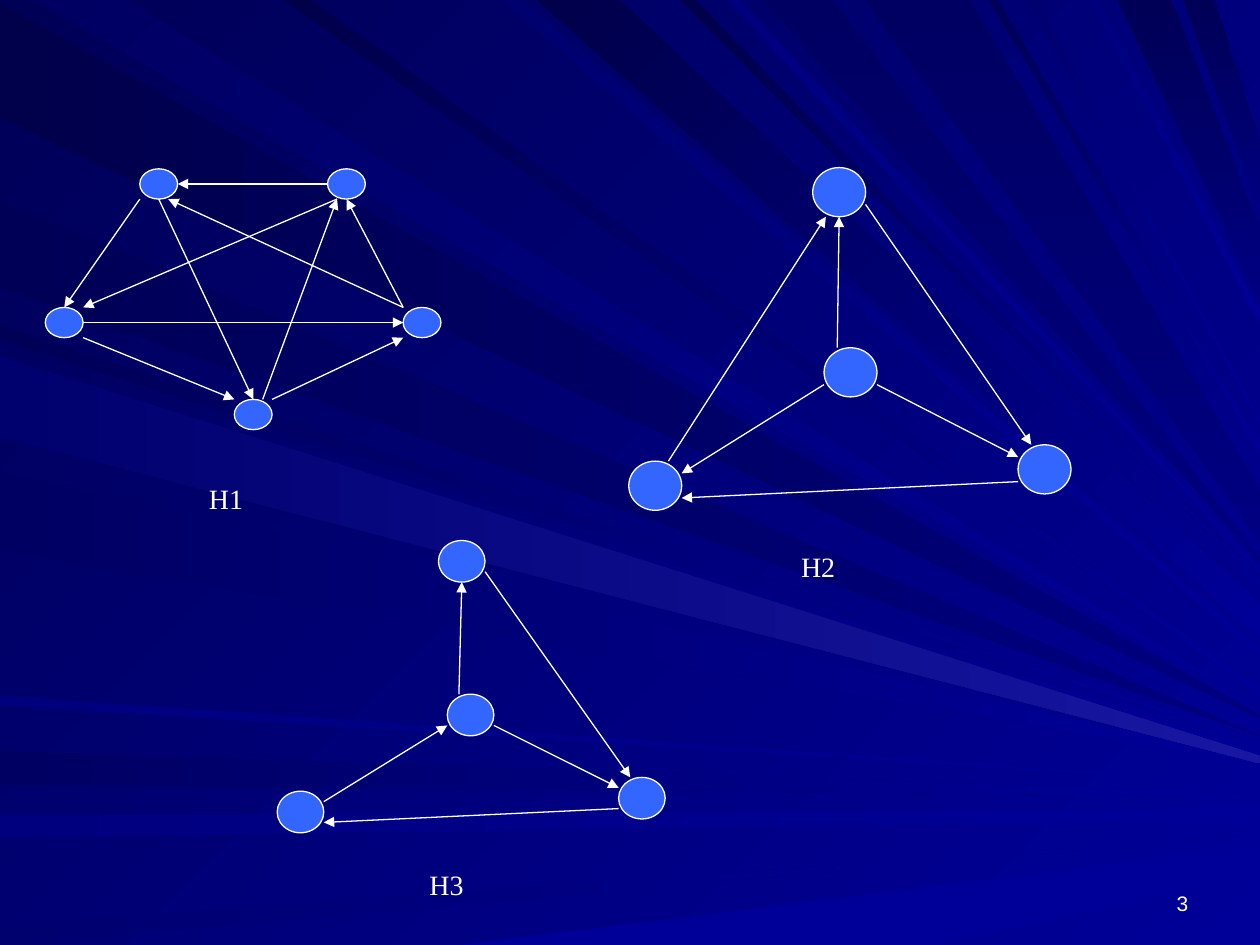
"""Build a slide of three directed graphs, H1 to H3, over a backdrop of blue rays."""
from lxml.etree import SubElement
from pptx import Presentation
from pptx.dml.color import RGBColor
from pptx.enum.shapes import MSO_CONNECTOR, MSO_SHAPE
from pptx.enum.text import MSO_ANCHOR, MSO_AUTO_SIZE, PP_ALIGN
from pptx.oxml.ns import qn
from pptx.util import Inches, Pt

COLUMNS, ROWS = 1000, 750
CELL = Inches(10) // COLUMNS

COLOURS = {
    "white": "FFFFFF",
    "node": "3366FF",
    "ink": "00004B",
    "night": "000056",
    "dusk": "000062",
    "navy": "00006E",
    "deep": "00007E",
    "royal": "000080",
    "blue": "000099",
    "glow": "1717A2",
}

RAYS = [
    ("left", 2, 93, 569, "ink", "royal"),
    ("top", 26, 101, 562, "dusk", "blue"),
    ("left", 596, 623, 631, "dusk", "blue"),
    ("left", 647, 665, 647, "deep", "blue", 8),
    ("left", 735, 750, 662, "navy", "blue"),
    ("bottom", 364, 742, 683, "blue", "blue", 22),
    ("left", 258, 270, 589, "night", "blue"),
    ("left", 159, 228, 584, "night", "royal"),
    ("top", 398, 416, 518, "navy", "blue", 6),
    ("top", 426, 492, 493, "ink", "blue", 28),
    ("top", 540, 552, 463, "ink", "blue"),
    ("top", 606, 661, 445, "dusk", "royal"),
    ("top", 887, 930, 210, "night", "royal", 54),
    ("top", 939, 964, 140, "night", "royal", 54),
    ("left", 278, 342, 599, "dusk", "blue", 6),
    ("left", 374, 437, 605, "dusk", "blue"),
    ("left", 552, 560, 622, "deep", "blue"),
    ("top", 225, 247, 549, "ink", "blue", 6),
    ("top", 577, 588, 453, "deep", "blue"),
    ("top", 686, 770, 409, "dusk", "royal", 38),
    ("top", 785, 792, 357, "night", "blue", 6),
    ("top", 815, 824, 335, "navy", "blue"),
    ("top", 865, 872, 253, "deep", "blue", 8),
    ("left", 283, 347, 603, "navy", "glow", 6),
]

GRAPHS = {
    "H1": {
        "label": (156, 377), "size": (30, 24),
        "nodes": {"a": (111, 134), "b": (36, 244), "c": (186, 317),
                  "d": (260, 134), "e": (320, 244)},
        "edges": "a.SW>b.N b.SE>c.NW c.NE>e.SW e.NW>d.S d.W>a.E "
                 "c.NNE>d.SSW d.SSW>b.NE b.E>e.W e.NW>a.SSE a.S>c.N",
    },
    "H2": {
        "label": (626, 431), "size": (42, 39),
        "nodes": {"a": (645, 133), "b": (499, 366), "c": (808, 353), "d": (654, 276)},
        "edges": "d.NNW>a.S d.WSW>b.ENE d.ESE>c.WNW b.NNE>a.SSW "
                 "a.ESE>c.NNW c.WSW>b.ESE",
    },
    "H3": {
        "label": (331, 684), "size": (37, 33),
        "nodes": {"a": (348, 429), "b": (220, 628), "c": (491, 617), "d": (355, 551)},
        "edges": "d.NNW>a.S d.ESE>c.WNW a.ESE>c.NNW c.WSW>b.ESE b.ENE>d.WSW",
    },
}


def colour(name):
    """Return the named colour."""
    return RGBColor.from_string(COLOURS[name])


def cells(*counts):
    """Turn counts of grid cells into lengths."""
    return [round(count * CELL) for count in counts]


def paint(fill, start, end, angle=0):
    """Fill with a clockwise-angled gradient, or plainly when both ends agree."""
    if start == end:
        fill.solid()
        fill.fore_color.rgb = colour(start)
        return
    fill.gradient()
    fill.gradient_angle = -angle % 360
    for stop, shade in zip(fill.gradient_stops, (start, end)):
        stop.color.rgb = colour(shade)


def outline(line):
    """Give a line the thin white stroke of the graphs."""
    line.color.rgb = colour("white")
    line.width = Pt(0.75)


def add_ray(slide, side, near, far, tip, start, end, spread=1):
    """Draw a ray that narrows from a stretch of one side to the right edge."""
    if side == "left":
        base = [(0, near), (0, far)]
        angle = 0
    else:
        level = 0 if side == "top" else ROWS
        base = [(near, level), (far, level)]
        angle = 90 if end == "royal" else 45
    tips = [(COLUMNS, tip + spread / 2), (COLUMNS, tip - spread / 2)]
    if side == "top":
        tips.reverse()
    builder = slide.shapes.build_freeform(*base[0], scale=CELL)
    builder.add_line_segments([base[1], *tips], close=True)
    ray = builder.convert_to_shape()
    ray.shadow.inherit = False
    ray.line.fill.background()
    paint(ray.fill, start, end, angle)


def add_node(slide, corner, size):
    """Draw one vertex of a graph."""
    node = slide.shapes.add_shape(MSO_SHAPE.OVAL, *cells(*corner, *size))
    node.shadow.inherit = False
    paint(node.fill, "node", "node")
    outline(node.line)


def anchor_point(graph, place):
    """Find the point of a node's frame that a compass direction names."""
    node, compass = place.split(".")
    east = compass.count("E") - compass.count("W")
    south = compass.count("S") - compass.count("N")
    reach = 2 * max(abs(east), abs(south))
    return [corner + size * (0.5 + step / reach) for corner, size, step
            in zip(graph["nodes"][node], graph["size"], (east, south))]


def add_edge(slide, start, end):
    """Draw one directed edge with its arrowhead at the far end."""
    edge = slide.shapes.add_connector(MSO_CONNECTOR.STRAIGHT, *cells(*start, *end))
    outline(edge.line)
    properties = edge._element.spPr
    SubElement(properties.find(qn("a:ln")), qn("a:tailEnd"), type="triangle")
    SubElement(properties, qn("a:effectLst"))


def add_text(slide, text, box, *, font, size, align=PP_ALIGN.LEFT,
             anchor=MSO_ANCHOR.TOP, before=0, fit=MSO_AUTO_SIZE.NONE):
    """Place a line of white text in a box."""
    frame = slide.shapes.add_textbox(*cells(*box)).text_frame
    frame.word_wrap = True
    frame.auto_size = fit
    frame.vertical_anchor = anchor
    paragraph = frame.paragraphs[0]
    paragraph.alignment = align
    paragraph.space_before = Pt(before)
    run = paragraph.add_run()
    run.text = text
    run.font.name = font
    run.font.size = Pt(size)
    run.font.color.rgb = colour("white")


def add_graph(slide, name, graph):
    """Draw a graph with its vertices, edges and label."""
    for corner in graph["nodes"].values():
        add_node(slide, corner, graph["size"])
    for edge in graph["edges"].split():
        add_edge(slide, *(anchor_point(graph, place) for place in edge.split(">")))
    add_text(slide, name, (*graph["label"], 84, 37), font="Times New Roman",
             size=16, before=10, fit=MSO_AUTO_SIZE.SHAPE_TO_FIT_TEXT)


def main():
    """Build and save the slide."""
    deck = Presentation()
    deck.slide_width, deck.slide_height = cells(COLUMNS, ROWS)
    slide = deck.slides.add_slide(deck.slide_layouts[6])
    paint(slide.background.fill, "night", "blue", 45)
    for ray in RAYS:
        add_ray(slide, *ray)
    add_text(slide, "3", (720, 682, 233, 50), font="Arial", size=12,
             align=PP_ALIGN.RIGHT, anchor=MSO_ANCHOR.BOTTOM)
    for name, graph in GRAPHS.items():
        add_graph(slide, name, graph)
    deck.save("out.pptx")


if __name__ == "__main__":
    main()
